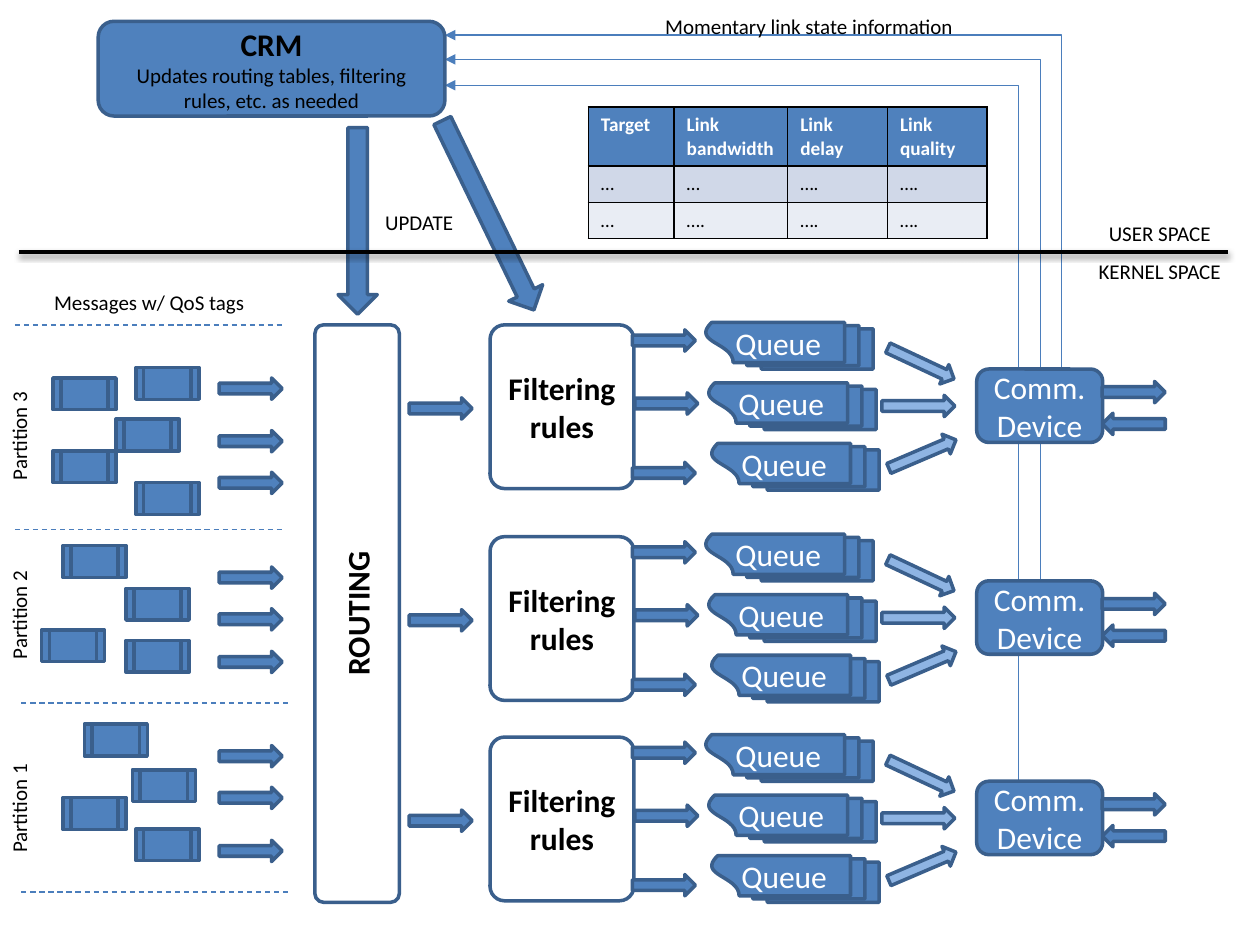
from dataclasses import dataclass

from lxml import etree
from pptx import Presentation
from pptx.dml.color import RGBColor
from pptx.enum import dml, shapes, text
from pptx.oxml import ns, parse_xml
from pptx.util import Cm, Pt

KIND = shapes.MSO_SHAPE


@dataclass(frozen=True)
class Theme:
    """Colours, type sizes and line widths of the slide."""
    font: str = "Calibri"
    blue: str = "4F81BD"
    pale: str = "8EB4E3"
    edge: str = "3A5F8C"
    wire: str = "4B7EBC"
    black: str = "000000"
    white: str = "FFFFFF"
    rows: tuple = ("4F81BD", "D0D8E8", "E9EDF4")
    large: int = 18
    small: int = 12
    cell: int = 11
    thick: float = 2
    thin: float = 0.75


@dataclass(frozen=True)
class Box:
    """A rectangle in centimetres."""
    left: float
    top: float
    width: float
    height: float

    def inner(self, left, top, width, height):
        """Return a box placed relative to this one."""
        return Box(self.left + left, self.top + top, width, height)

    def lengths(self):
        """Return the four lengths for a python-pptx call."""
        return [Cm(n) for n in (self.left, self.top, self.width, self.height)]


THEME = Theme()


def style(para, size, color, bold=False, align=None):
    """Format one paragraph."""
    font = para.font
    font.name, font.size, font.bold = THEME.font, Pt(size), bold
    font.color.rgb = RGBColor.from_string(color)
    para.alignment = align


def add_block(page, kind, box, fill=THEME.blue, lines=(), color=THEME.white,
              bold=False, turn=0, corner=None, upright=False):
    """Draw an outlined preset shape with centred lines of text."""
    block = page.shapes.add_shape(kind, *box.lengths())
    block.shadow.inherit = False
    block.rotation = turn
    block.line.color.rgb = RGBColor.from_string(THEME.edge)
    block.line.width = Pt(THEME.thick)
    if fill:
        block.fill.solid()
        block.fill.fore_color.rgb = RGBColor.from_string(fill)
    else:
        block.fill.background()
    if corner:
        block.adjustments[0] = corner
    if lines:
        frame = block.text_frame
        frame.text = "\n".join(lines)
        frame.vertical_anchor = text.MSO_ANCHOR.MIDDLE
        for para in frame.paragraphs:
            style(para, THEME.large, color, bold, text.PP_ALIGN.CENTER)
        if upright:
            frame._txBody.bodyPr.set("vert", "vert270")
    return block


def add_arrow(page, box, fill=THEME.blue, turn=0):
    """Draw a block arrow."""
    add_block(page, KIND.RIGHT_ARROW, box, fill, turn=turn)


def add_label(page, box, words, align=None, turn=0):
    """Draw a small text label."""
    label = page.shapes.add_textbox(*box.lengths())
    label.rotation = turn
    label.text_frame.word_wrap = True
    label.text_frame.text = words
    style(label.text_frame.paragraphs[0], THEME.small, THEME.black, align=align)


def add_line(page, start, end, color=THEME.wire, width=THEME.thin,
             kind=shapes.MSO_CONNECTOR.STRAIGHT):
    """Draw a connector without a shadow and return it with its effect list."""
    line = page.shapes.add_connector(kind, *[Cm(n) for n in (*start, *end)])
    line.line.color.rgb = RGBColor.from_string(color)
    line.line.width = Pt(width)
    effects = etree.SubElement(line._element.spPr, ns.qn("a:effectLst"))
    return line, effects


def add_state_line(page, start, end):
    """Draw a wire that rises from a device and turns left to the manager."""
    wire, _ = add_line(page, start, end, kind=shapes.MSO_CONNECTOR.ELBOW)
    geometry = wire._element.spPr.find(ns.qn("a:prstGeom"))
    etree.SubElement(geometry.get_or_add_avLst(), ns.qn("a:gd"), name="adj1", fmla="val -100")
    etree.SubElement(wire.line._get_or_add_ln(), ns.qn("a:tailEnd"), type="triangle")


def add_divider(page, start, end):
    """Draw a dashed partition border."""
    add_line(page, start, end)[0].line.dash_style = dml.MSO_LINE.DASH


def add_manager(page, box):
    """Draw the manager with its update arrows."""
    block = add_block(page, KIND.ROUNDED_RECTANGLE, box, color=THEME.black, bold=True,
                      lines=("CRM", "Updates routing tables, filtering rules, etc. as needed"))
    style(block.text_frame.paragraphs[1], THEME.small, THEME.black, align=text.PP_ALIGN.CENTER)
    add_arrow(page, box.inner(3.35, 3.63, 3.76, 0.79), turn=90)
    add_arrow(page, box.inner(5.74, 3.53, 4.24, 0.76), turn=64.2)
    add_label(page, box.inner(5.34, 3.66, 2.26, 0.76), "UPDATE", text.PP_ALIGN.CENTER)


def add_link_table(page, box, columns, heights, rows):
    """Draw the link state table with black borders."""
    table = page.shapes.add_table(len(rows), len(columns), *box.lengths()).table
    for column, width in zip(table.columns, columns):
        column.width = Cm(width)
    for r, words in enumerate(rows):
        table.rows[r].height = Cm(heights[r])
        for c, word in enumerate(words):
            cell = table.cell(r, c)
            cell.text = word
            style(cell.text_frame.paragraphs[0], THEME.cell,
                  THEME.black if r else THEME.white, bold=r == 0)
            properties = cell._tc.get_or_add_tcPr()
            for side in ("lnL", "lnR", "lnT", "lnB"):
                properties.append(parse_xml(
                    f'<a:{side} {ns.nsdecls("a")} w="12700"><a:solidFill>'
                    f'<a:srgbClr val="{THEME.black}"/></a:solidFill></a:{side}>'))
            cell.fill.solid()
            cell.fill.fore_color.rgb = RGBColor.from_string(THEME.rows[r])


def add_partition(page, box, name, name_top, packets, arrows):
    """Draw a partition: border, name, tagged messages and arrows."""
    add_divider(page, (box.left, box.top), (box.left + box.width, box.top))
    side = Box(0, box.top, box.width, box.height)
    add_label(page, side.inner(-0.94, name_top, 2.64, 0.76), name, turn=270)
    for left, top in packets:
        add_block(page, KIND.FLOWCHART_PREDEFINED_PROCESS, side.inner(left, top, 1.27, 0.64))
    for top in arrows:
        add_arrow(page, side.inner(4.42, top, 1.27, 0.43))


def add_lane(page, box):
    """Draw a lane from routing through filter and queues to a device."""
    add_arrow(page, box.inner(-1.63, 1.47, 1.27, 0.43))
    add_block(page, KIND.ROUNDED_RECTANGLE, box.inner(0, 0, 2.9, 3.3), None,
              ("Filtering", "rules"), THEME.black, True, corner=0.101)
    feeds = ((2.87, 0.1), (2.92, 1.37), (2.87, 2.77))
    links = ((7.95, 0.56, 25.1), (7.9, 1.42, 0), (7.98, 2.39, 336.9))
    for i, (feed, (left, top, turn)) in enumerate(zip(feeds, links)):
        add_arrow(page, box.inner(*feed, 1.27, 0.43))
        add_block(page, KIND.FLOWCHART_MULTIDOCUMENT,
                  box.inner(5.56 + 0.06 * i, -1.27 + 1.22 * i, 0.94, 3.38),
                  lines=("Queue",), turn=90, upright=True)
        add_arrow(page, box.inner(left, top, 1.47, 0.43), THEME.pale, turn)
    add_block(page, KIND.ROUNDED_RECTANGLE, box.inner(9.81, 0.89, 2.54, 1.48),
              lines=("Comm.", "Device"))
    for top, turn in ((1.14, 0), (1.78, 180)):
        add_arrow(page, box.inner(12.34, top, 1.27, 0.43), turn=turn)


def add_space_border(page, box):
    """Draw the shadowed border between user and kernel space."""
    _, effects = add_line(page, (box.left, box.top), (box.left + box.width, box.top),
                          THEME.black, THEME.thick)
    effects.append(parse_xml(
        f'<a:outerShdw {ns.nsdecls("a")} blurRad="40000" dist="20000" dir="5400000">'
        f'<a:srgbClr val="{THEME.black}"><a:alpha val="38000"/></a:srgbClr></a:outerShdw>'))
    for words, top in (("USER SPACE", -0.76), ("KERNEL SPACE", 0)):
        add_label(page, box.inner(21.41, top, 3.18, 0.76), words, text.PP_ALIGN.CENTER)


def main():
    """Build and save the slide."""
    deck = Presentation()
    deck.slide_width, deck.slide_height = Cm(25.4), Cm(19.05)
    page = deck.slides.add_slide(deck.slide_layouts[6])
    lane_tops = (6.55, 10.82, 14.86)
    for x, y, lane_top in zip((21.39, 20.96, 20.52), (0.71, 1.2, 1.72), lane_tops):
        add_state_line(page, (x, lane_top + 0.89), (8.97, y))
    add_label(page, Box(13.16, 0.15, 6.78, 0.76), "Momentary link state information")
    add_link_table(page, Box(11.86, 2.16, 8.04, 2.65), (1.73, 2.29, 2.01, 2.01),
                   (1.19, 0.73, 0.73),
                   (("Target", "Link bandwidth", "Link delay", "Link quality"),
                    ("…", "…", "….", "…."), ("…", "….", "….", "….")))
    add_label(page, Box(0.84, 5.72, 5.28, 0.76), "Messages w/ QoS tags")
    add_partition(page, Box(0.3, 6.55, 5.4, 4.12), "Partition 3", 1.68,
                  ((2.74, 0.86), (1.07, 1.07), (1.07, 2.54), (2.34, 1.9), (2.74, 3.18)),
                  (1.07, 2.13, 2.97))
    add_partition(page, Box(0.3, 10.67, 5.4, 3.5), "Partition 2", 1.17,
                  ((1.27, 0.33), (0.84, 2.03), (2.54, 2.24), (2.54, 1.19)),
                  (0.76, 1.6, 2.46))
    add_partition(page, Box(0.43, 14.17, 5.4, 3.81), "Partition 1", 1.57,
                  ((1.7, 0.43), (1.27, 1.91), (2.67, 1.35), (2.74, 2.54)),
                  (0.86, 1.7, 2.77))
    add_divider(page, (0.43, 17.98), (5.83, 17.98))
    add_block(page, KIND.ROUNDED_RECTANGLE, Box(6.35, 6.55, 1.7, 11.64), None, ("ROUTING",),
              THEME.black, True, corner=0.101, upright=True)
    for lane_top in lane_tops:
        add_lane(page, Box(9.88, lane_top, 13.61, 3.3))
    add_manager(page, Box(1.98, 0.43, 6.99, 1.91))
    add_space_border(page, Box(0.38, 5.08, 24.38, 0))
    deck.save("out.pptx")


main()
